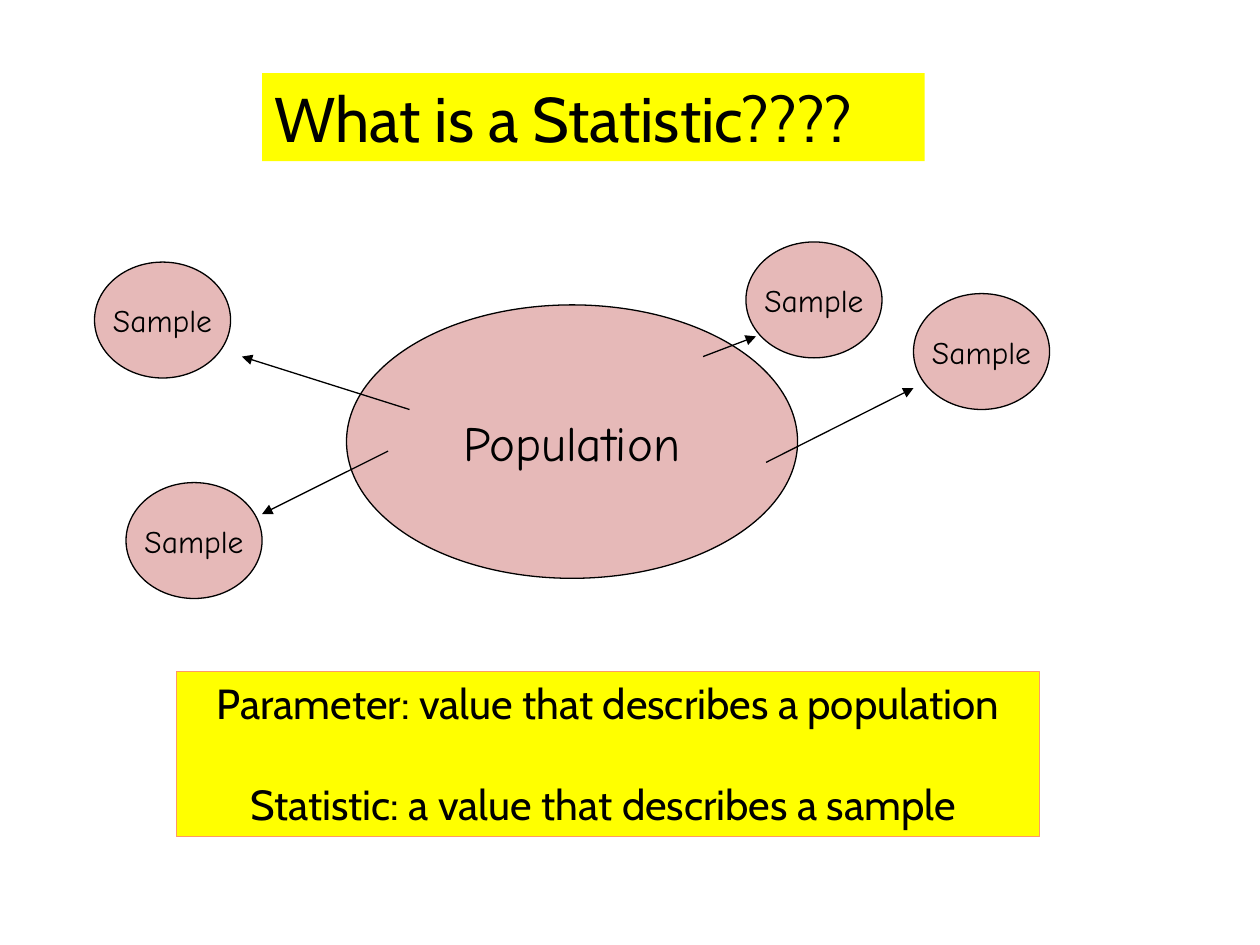
"""Build a slide that shows samples drawn from a population."""
import pptx
import pptx.dml.color
import pptx.enum.shapes
import pptx.enum.text
import pptx.oxml
import pptx.oxml.ns
import pptx.util
from pptx.util import Inches, Pt

COLORS = {"black": "000000", "yellow": "FFFF00", "pink": "E6B9B8", "orange": "FF9966"}
TITLE = "What is a Statistic????"
DEFINITIONS = [
    "Parameter: value that describes a population",
    "Statistic: a value that describes a sample ",
]
SAMPLE_SIZE = (1.08, 0.92)
SAMPLE_POSITIONS = [(1, 3.83), (5.92, 1.92), (7.25, 2.33), (0.75, 2.08)]
ARROWS = [
    ((3.08, 3.58), (2.08, 4.08)),
    ((3.25, 3.25), (1.92, 2.83)),
    ((5.58, 2.83), (6, 2.67)),
    ((6.08, 3.67), (7.25, 3.08)),
]
SHAPES = pptx.enum.shapes.MSO_SHAPE
ALIGN = pptx.enum.text.PP_ALIGN
ANCHOR = pptx.enum.text.MSO_ANCHOR
AUTO_SIZE = pptx.enum.text.MSO_AUTO_SIZE


def color(name):
    return pptx.dml.color.RGBColor.from_string(COLORS[name])


def set_line(line, name):
    line.color.rgb = color(name)
    line.width = Pt(0.75)


def add_box(slide, kind, bounds, fill, outline, lines, font, size, align=ALIGN.CENTER):
    shape = slide.shapes.add_shape(kind, *map(Inches, bounds))
    shape.shadow.inherit = False
    shape.fill.solid()
    shape.fill.fore_color.rgb = color(fill)
    if outline:
        set_line(shape.line, outline)
    else:
        shape.line.fill.background()
    frame = shape.text_frame
    frame.word_wrap = False
    if kind == SHAPES.RECTANGLE:
        frame.auto_size = AUTO_SIZE.SHAPE_TO_FIT_TEXT
        frame.vertical_anchor = ANCHOR.TOP
    else:
        frame.vertical_anchor = ANCHOR.MIDDLE
    for index, text in enumerate(lines):
        paragraph = frame.add_paragraph() if index else frame.paragraphs[0]
        paragraph.text = text
        paragraph.alignment = align
        if index:
            paragraph.space_before = Pt(28.5)
        paragraph.font.name = font
        paragraph.font.size = Pt(size)
        paragraph.font.color.rgb = color("black")


def add_arrow(slide, start, end):
    arrow = slide.shapes.add_connector(
        pptx.enum.shapes.MSO_CONNECTOR.STRAIGHT, *map(Inches, start + end)
    )
    set_line(arrow.line, "black")
    head = pptx.oxml.parse_xml(
        f'<a:tailEnd {pptx.oxml.ns.nsdecls("a")} type="triangle"/>'
    )
    arrow.line._get_or_add_ln().append(head)
    effects = pptx.oxml.parse_xml(f'<a:effectLst {pptx.oxml.ns.nsdecls("a")}/>')
    arrow._element.spPr.append(effects)


def main():
    presentation = pptx.Presentation()
    presentation.slide_width = Inches(10)
    presentation.slide_height = Inches(7.5)
    slide = presentation.slides.add_slide(presentation.slide_layouts[6])

    add_box(slide, SHAPES.RECTANGLE, (2.08, 0.58, 5.26, 0.7), "yellow", None,
            [TITLE], "Cabin", 36, ALIGN.LEFT)
    add_box(slide, SHAPES.OVAL, (2.75, 2.42, 3.58, 2.17), "pink", "black",
            ["Population"], "Comic Neue", 28)
    for position in SAMPLE_POSITIONS:
        add_box(slide, SHAPES.OVAL, position + SAMPLE_SIZE, "pink", "black",
                ["Sample"], "Comic Neue", 18)
    for start, end in ARROWS:
        add_arrow(slide, start, end)
    add_box(slide, SHAPES.RECTANGLE, (1.4, 5.33, 6.85, 1.31), "yellow", "orange",
            DEFINITIONS, "Cabin", 24)
    presentation.save("out.pptx")


if __name__ == "__main__":
    main()
